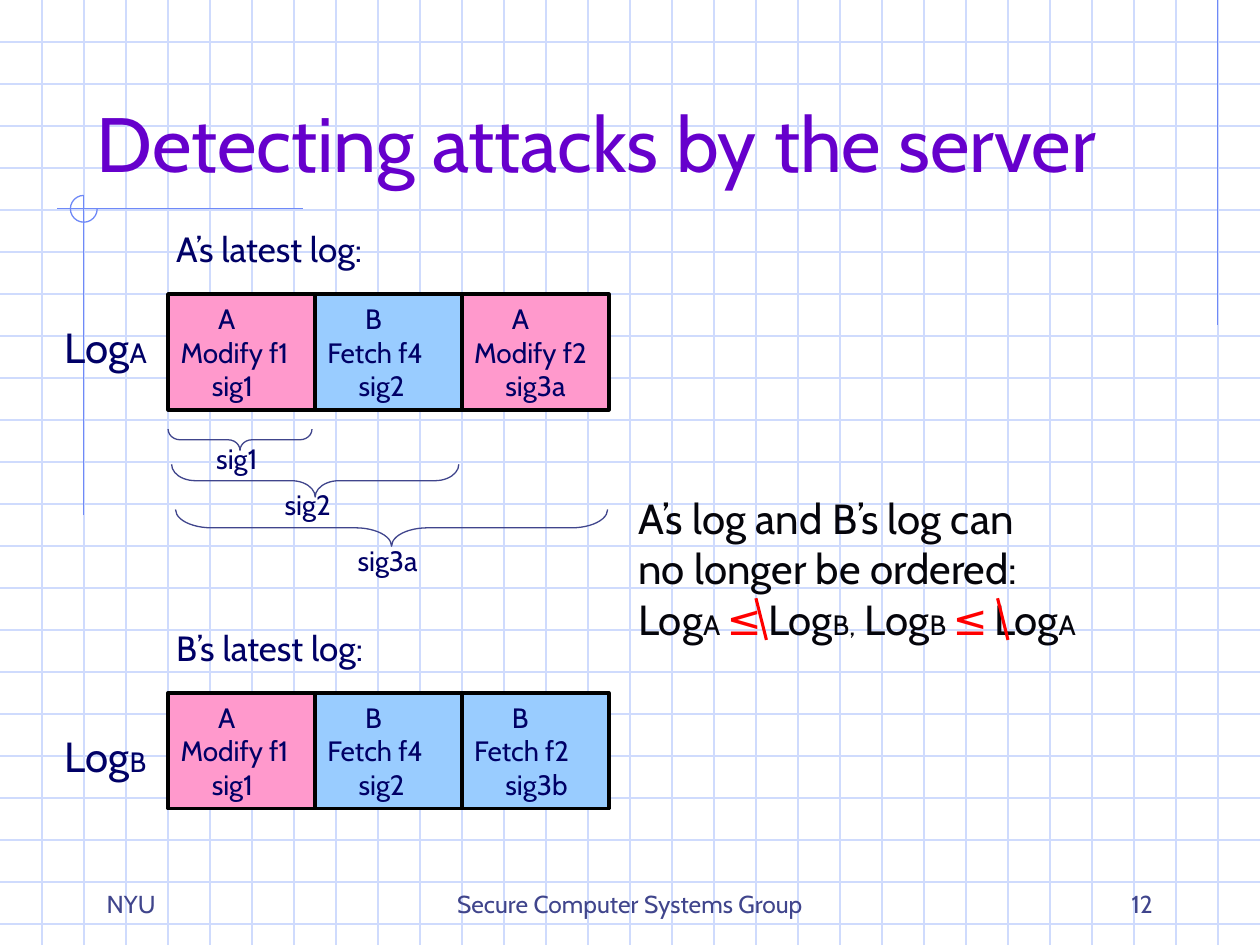
from pptx import Presentation
from pptx.dml.color import RGBColor
from pptx.enum.shapes import MSO_CONNECTOR, MSO_SHAPE as Shape
from pptx.enum.text import MSO_ANCHOR as Anchor, PP_ALIGN as Align
from pptx.oxml.ns import qn
from pptx.util import Cm, Pt
from lxml.etree import SubElement

FONT = "Cabin"
NAVY, INK, RED, SLATE = "000066", "05050B", "FF0000", "40458C"
GRID, ACCENT, PURPLE = "CFDBFD", "6F89F7", "6600CC"
USER_FILLS = {"A": "FF99CC", "B": "99CCFF"}
PAGE_WIDTH, PAGE_HEIGHT = 25.4, 19.05
GRID_STEP = PAGE_WIDTH / 30
CELL_WIDTH, CELL_HEIGHT = 2.96, 2.33


def rgb(color):
    return RGBColor.from_string(color)


def write_para(para, text, size=16, color=NAVY, align=Align.LEFT, indent=0):
    """Write a string, or a list of (text, size, color) spans, into a paragraph."""
    para.alignment = align
    if indent:
        para._p.get_or_add_pPr().set("marL", str(Cm(indent)))
    spans = [(text, size, color)] if isinstance(text, str) else text
    for words, points, shade in spans:
        span = para.add_run()
        span.text = words
        span.font.name = FONT
        span.font.size = Pt(points)
        span.font.color.rgb = rgb(shade)


def add_text(page, left, top, width, height, *lines, anchor=Anchor.TOP, **style):
    box = page.shapes.add_textbox(Cm(left), Cm(top), Cm(width), Cm(height))
    frame = box.text_frame
    frame.word_wrap = True
    frame.vertical_anchor = anchor
    for number, line in enumerate(lines):
        para = frame.add_paragraph() if number else frame.paragraphs[0]
        write_para(para, line, **style)


def add_line(page, x1, y1, x2, y2, color, weight=0.75):
    line = page.shapes.add_connector(
        MSO_CONNECTOR.STRAIGHT, Cm(x1), Cm(y1), Cm(x2), Cm(y2))
    line.line.color.rgb = rgb(color)
    line.line.width = Pt(weight)
    SubElement(line._element.spPr, qn("a:effectLst"))


def add_shape(page, kind, left, top, width, height, line, weight=0.75, fill=None):
    shape = page.shapes.add_shape(kind, Cm(left), Cm(top), Cm(width), Cm(height))
    shape.shadow.inherit = False
    if fill:
        shape.fill.solid()
        shape.fill.fore_color.rgb = rgb(fill)
    else:
        shape.fill.background()
    shape.line.color.rgb = rgb(line)
    shape.line.width = Pt(weight)
    return shape


def draw_backdrop(page):
    for row in range(1, 23):
        add_line(page, 0, row * GRID_STEP, PAGE_WIDTH, row * GRID_STEP, GRID)
    for column in range(1, 30):
        add_line(page, column * GRID_STEP, 0, column * GRID_STEP, PAGE_HEIGHT, GRID)
    add_line(page, 24.55, 0, 24.55, 6.55, ACCENT)
    add_line(page, 6.1, 4.21, 1.14, 4.21, ACCENT)
    add_line(page, 1.69, 3.94, 1.69, 10.39, ACCENT)
    ring = add_shape(page, Shape.ARC, 1.42, 3.94, 0.54, 0.54, ACCENT)
    ring.adjustments[0] = 0
    ring.adjustments[1] = 162  # 270 degrees, in units of 100000/60000 degree


def draw_title(page, text, left, top, width, height):
    title = page.shapes.title
    title.left, title.top, title.width, title.height = map(
        Cm, (left, top, width, height))
    title.text_frame.vertical_anchor = Anchor.BOTTOM
    write_para(title.text_frame.paragraphs[0], text, size=44, color=PURPLE)
    title._element.getparent().append(title._element)  # in front of the grid


def draw_entry(page, left, top, user, action, signature):
    cell = add_shape(page, Shape.RECTANGLE, left, top, CELL_WIDTH, CELL_HEIGHT,
                     "000000", 2.25, USER_FILLS[user])
    frame = cell.text_frame
    frame.word_wrap = True
    frame.vertical_anchor = Anchor.MIDDLE
    write_para(frame.paragraphs[0], user, indent=0.76)
    write_para(frame.add_paragraph(), action)
    write_para(frame.add_paragraph(), signature, indent=0.63)


def draw_log(page, left, top, owner, entries, label_drop):
    """Draw one user's log: caption above, label at left, cells from left, top."""
    add_text(page, left - 0.09, top - 1.46, 4.85, 1.12,
             f"{owner}’s latest log:", size=20)
    add_text(page, left - 2.33, top + label_drop, 2.33, 1.96,
             [("Log", 24, NAVY), (owner, 16, NAVY)])
    for number, entry in enumerate(entries):
        draw_entry(page, left + number * CELL_WIDTH, top, *entry)


def draw_brace(page, left, top, span, depth):
    """Draw a brace that opens upwards, by turning a left brace."""
    brace = add_shape(page, Shape.LEFT_BRACE, left + (span - depth) / 2,
                      top - (span - depth) / 2, depth, span, SLATE)
    brace.adjustments[0] = span / depth / 12
    brace.rotation = 270


def draw_signature_spans(page, left, top):
    braces = [
        # brace x, y, span, depth; label text, x, y, width
        (0, 0, 2.9, 0.43, "sig1", 0.72, 0.12, 1.57),
        (0.07, 0.71, 5.79, 0.66, "sig2", 2.1, 1.06, 1.57),
        (0.15, 1.62, 8.71, 0.74, "sig3a", 3.57, 2.18, 1.9),
    ]
    for x, y, span, depth, text, text_x, text_y, width in braces:
        draw_brace(page, left + x, top + y, span, depth)
        add_text(page, left + text_x, top + text_y, width, 0.94, text)


def draw_conclusion(page, left, top):
    def log(owner):
        return [("Log", 24, INK), (owner, 16, INK)]

    relation = [(" ", 16, INK), ("≤", 24, RED), (" ", 16, NAVY)]
    formula = [*log("A"), *relation, *log("B,"), (" ", 24, INK),
               *log("B"), *relation, *log("A")]
    add_text(page, left, top, 10.4, 3.3, "A’s log and B’s log can",
             "no longer be ordered:", formula, size=24, color=INK)
    for x in (2.62, 7.49):
        add_line(page, left + x, top + 2.26, left + x + 0.21, top + 3.1, RED, 1.75)


def draw_footer(page, top):
    for left, width, text, align in [
        (1.9, 5.29, "NYU", Align.LEFT),
        (8.68, 8.04, "Secure Computer Systems Group", Align.CENTER),
        (18.2, 5.29, "12", Align.RIGHT),
    ]:
        add_text(page, left, top, width, 1.27, text, size=14, color=SLATE,
                 align=align, anchor=Anchor.BOTTOM)


def main():
    deck = Presentation()
    deck.slide_width, deck.slide_height = Cm(PAGE_WIDTH), Cm(PAGE_HEIGHT)
    page = deck.slides.add_slide(deck.slide_layouts[5])
    shared = [("A", "Modify f1", "sig1"), ("B", "Fetch f4", "sig2")]
    draw_backdrop(page)
    draw_title(page, "Detecting attacks by the server", 1.69, 0.73, 22.45, 3.18)
    draw_log(page, 3.39, 5.93, "A", [*shared, ("A", "Modify f2", "sig3a")], 0.42)
    draw_log(page, 3.39, 13.97, "B", [*shared, ("B", "Fetch f2", "sig3b")], 0.64)
    draw_signature_spans(page, 3.39, 8.65)
    draw_conclusion(page, 12.62, 9.8)
    draw_footer(page, 17.36)
    deck.save("out.pptx")


if __name__ == "__main__":
    main()
